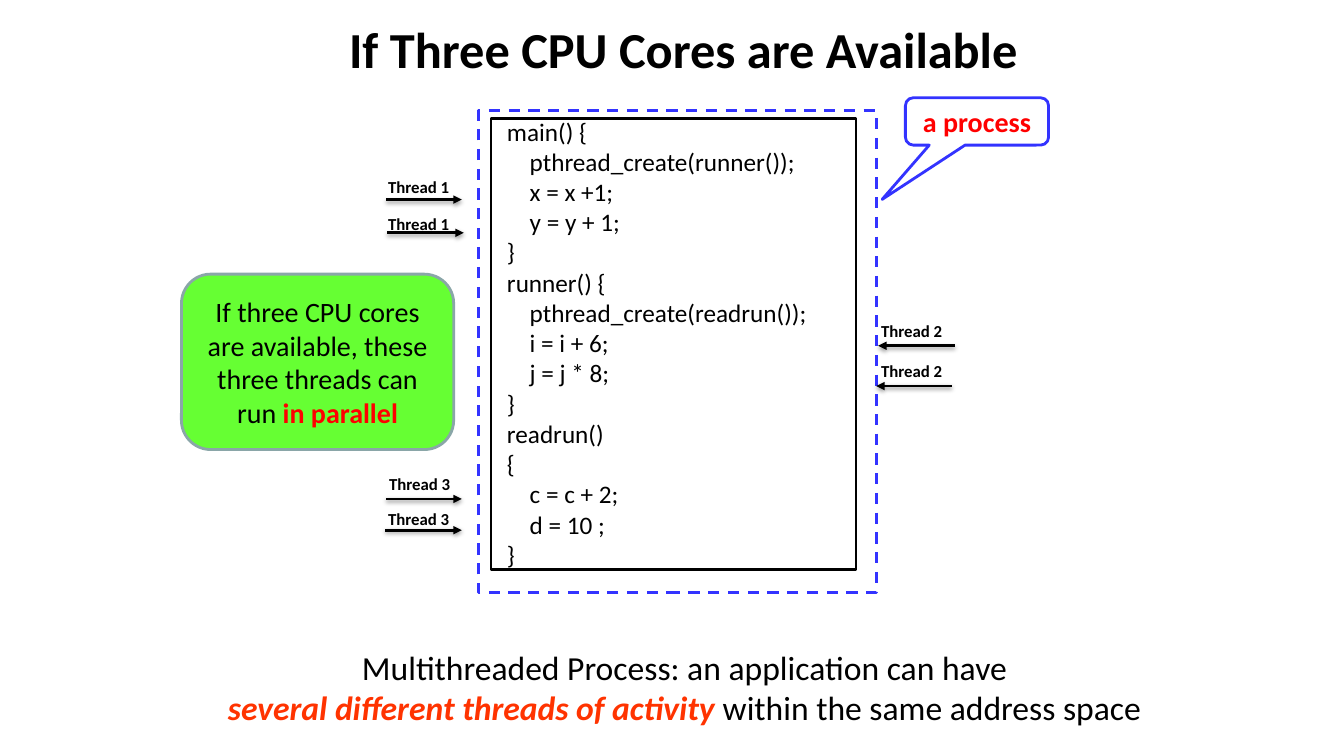
from lxml import etree
from pptx import Presentation
from pptx.dml.color import RGBColor
from pptx.enum.dml import MSO_LINE
from pptx.enum.shapes import MSO_CONNECTOR, MSO_SHAPE
from pptx.enum.text import MSO_ANCHOR, PP_ALIGN
from pptx.oxml import parse_xml
from pptx.oxml.ns import nsdecls, qn
from pptx.util import Inches, Pt

COLORS = {"black": "000000", "white": "FFFFFF", "blue": "3333FF", "red": "FF0000",
          "green": "66FF33", "gray": "8AA6A8", "orange": "FF3300"}
FONT = "Calibri"

TITLE = "If Three CPU Cores are Available"
CODE = """main() {
    pthread_create(runner());
    x = x +1;
    y = y + 1;
}
runner() {
    pthread_create(readrun());
    i = i + 6;
    j = j * 8;
}
readrun()
{
    c = c + 2;
    d = 10 ;
}""".split("\n")
CALLOUT = "a process"
RED_BOLD = {"color": "red", "bold": True}
NOTE = [("If three CPU cores are available, these three threads can run ", {}),
        ("in parallel", RED_BOLD)]
SUMMARY = [
    "Multithreaded Process: an application can have",
    [("several different threads of activity", {"color": "orange", "bold": True, "italic": True}),
     (" within the same address space", {})],
]
# label, label left, label top, arrow start x, arrow end x, arrow y
THREADS = [
    ("Thread 1", 3.75, 1.70, 3.83, 4.58, 1.98),
    ("Thread 1", 3.75, 2.07, 3.84, 4.60, 2.31),
    ("Thread 2", 8.64, 3.13, 9.47, 8.71, 3.43),
    ("Thread 2", 8.64, 3.53, 9.44, 8.69, 3.83),
    ("Thread 3", 3.76, 4.65, 3.83, 4.58, 4.95),
    ("Thread 3", 3.75, 5.00, 3.82, 4.58, 5.26),
]
SHADOW = (f'<a:effectLst {nsdecls("a")}><a:outerShdw blurRad="39370" dist="20320" dir="5400000" '
          'rotWithShape="0"><a:srgbClr val="000000"><a:alpha val="38000"/></a:srgbClr>'
          '</a:outerShdw></a:effectLst>')


def rgb(name):
    return RGBColor.from_string(COLORS[name])


def write(sp, paragraphs, size, color="black", bold=False, italic=False,
          align=PP_ALIGN.LEFT, anchor=MSO_ANCHOR.TOP, wrap=True):
    """Fill sp with paragraphs, each a string or a list of (text, format) runs."""
    tf = sp.text_frame
    tf.word_wrap = wrap
    tf.vertical_anchor = anchor
    for i, runs in enumerate(paragraphs):
        p = tf.add_paragraph() if i else tf.paragraphs[0]
        p.alignment = align
        for text, own in [(runs, {})] if isinstance(runs, str) else runs:
            r = p.add_run()
            r.text = text
            r.font.name = FONT
            r.font.size = Pt(size)
            r.font.bold = own.get("bold", bold)
            r.font.italic = own.get("italic", italic)
            r.font.color.rgb = rgb(own.get("color", color))


def add_text(slide, box, paragraphs, size, **fmt):
    sp = slide.shapes.add_textbox(*map(Inches, box))
    write(sp, paragraphs, size, **fmt)


def add_box(slide, kind, box, line, fill=None):
    sp = slide.shapes.add_shape(kind, *map(Inches, box))
    sp.shadow.inherit = False
    if fill:
        sp.fill.solid()
        sp.fill.fore_color.rgb = rgb(fill)
    else:
        sp.fill.background()
    sp.line.color.rgb = rgb(line)
    sp.line.width = Pt(2)
    return sp


def add_arrow(slide, x1, x2, y):
    cx = slide.shapes.add_connector(MSO_CONNECTOR.STRAIGHT, *map(Inches, (x1, y, x2, y)))
    cx.line.color.rgb = rgb("black")
    cx.line.width = Pt(2)
    etree.SubElement(cx.line._get_or_add_ln(), qn("a:tailEnd"), type="triangle")
    cx._element.spPr.append(parse_xml(SHADOW))


def main():
    prs = Presentation()
    prs.slide_width, prs.slide_height = Inches(13.33), Inches(7.5)
    slide = prs.slides.add_slide(prs.slide_layouts[6])
    centered = {"align": PP_ALIGN.CENTER, "anchor": MSO_ANCHOR.MIDDLE}

    add_box(slide, MSO_SHAPE.RECTANGLE, (4.87, 1.18, 3.62, 4.47), "black", "white")
    add_text(slide, (2.28, 0.02, 9, 0.92), [TITLE], 36, bold=True, **centered)
    add_text(slide, (4.93, 1.1, 3.31, 4.64), CODE, 18)

    process = add_box(slide, MSO_SHAPE.RECTANGLE, (4.75, 1.1, 3.94, 4.78), "blue")
    process.line.dash_style = MSO_LINE.DASH
    callout = add_box(slide, MSO_SHAPE.ROUNDED_RECTANGULAR_CALLOUT,
                      (8.98, 0.97, 1.42, 0.47), "blue")
    for i, value in enumerate((-0.663, 1.646, 0.167)):
        callout.adjustments[i] = value
    write(callout, [CALLOUT], 20, **RED_BOLD, **centered)

    for label, left, top, x1, x2, y in THREADS:
        add_text(slide, (left, top, 1.02, 0.3), [label], 12, bold=True)
        add_arrow(slide, x1, x2, y)

    note = add_box(slide, MSO_SHAPE.ROUNDED_RECTANGLE, (1.8, 2.72, 2.7, 1.74), "gray", "green")
    write(note, [NOTE], 20, **centered)
    add_text(slide, (2.11, 6.37, 9.36, 0.91), SUMMARY, 24, align=PP_ALIGN.CENTER, wrap=False)
    prs.save("out.pptx")


if __name__ == "__main__":
    main()
